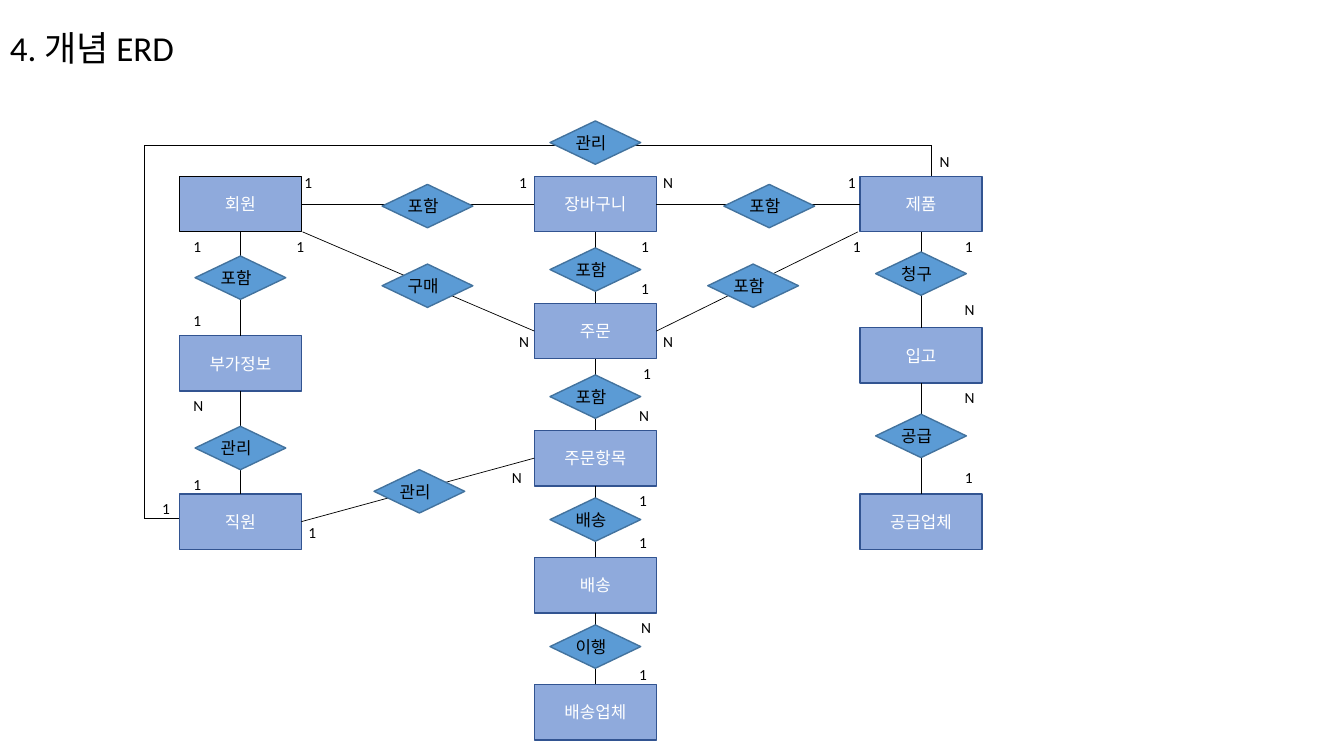
from pptx import Presentation
from pptx.dml.color import RGBColor as Rgb
from pptx.enum.shapes import MSO_CONNECTOR as Conn, MSO_SHAPE as Form
from pptx.enum.text import MSO_ANCHOR as Anchor, MSO_AUTO_SIZE as Fit, PP_ALIGN as Align
from pptx.oxml.ns import qn
from pptx.util import Inches, Pt
from lxml.etree import SubElement

INK = {
    "text": "000000", "white": "FFFFFF", "box": "8FAADC",
    "edge": "325491", "gem": "5B9BD5", "rim": "43739E",
}
LATIN, HANGUL = "Calibri", "Noto Sans CJK KR"

# Grid of 0.1 inch cells: places below are in columns and rows
CELL = 0.1
LEFT, MID, RIGHT = 17.8, 53, 85.3
TOP, STEP = 17.5, 12.6
BOX = (12.1, 5.5)
GEM = (9, 4.3)
INSET = (BOX[0] - GEM[0]) / 2
UP, WEST, DOWN, EAST = range(4)

# Entities: name -> column, row
ENTITIES = {
    "회원": (LEFT, TOP), "부가정보": (LEFT, 33.3), "직원": (LEFT, 49),
    "제품": (RIGHT, TOP), "입고": (RIGHT, 32.5), "공급업체": (RIGHT, 49),
}
for i, name in enumerate(["장바구니", "주문", "주문항목", "배송", "배송업체"]):
    ENTITIES[name] = (MID, TOP + i * STEP)

# Each link end is an entity side or a free point
SUPPLY = (91.35, 41.1)
LOOP = [(17.8, 51.4), (14.3, 51.4), (14.3, 14.4), (92.4, 14.4), (92.4, 17.5)]
LINKS = [
    (("회원", EAST), ("장바구니", WEST)),
    (("장바구니", EAST), ("제품", WEST)),
    (("회원", DOWN), ("부가정보", UP)),
    (("부가정보", DOWN), ("직원", UP)),
    (("장바구니", DOWN), ("주문", UP)),
    (("주문", DOWN), ("주문항목", UP)),
    (("주문항목", DOWN), ("배송", UP)),
    (("배송", DOWN), ("배송업체", UP)),
    (("제품", DOWN), ("입고", UP)),
    (("입고", DOWN), SUPPLY),
    (SUPPLY, ("공급업체", UP)),
    ((30, 23), ("주문", WEST)),
    (("주문", EAST), (85.1, 23)),
    (("직원", EAST), ("주문항목", WEST)),
    *zip(LOOP, LOOP[1:]),
]

# Relations: text, column, row
GEMS = [
    ("포함", LEFT + INSET, 25.4), ("관리", LEFT + INSET, 42.3),
    ("관리", MID + INSET, 12), ("포함", MID + INSET, 24.6),
    ("포함", MID + INSET, 37.2), ("배송", MID + INSET, 49.4),
    ("이행", MID + INSET, 62), ("청구", RIGHT + INSET, 25),
    ("공급", RIGHT + INSET, 41.1), ("포함", 37.9, 18.3),
    ("구매", 37.9, 26.2), ("관리", 37.1, 46.6),
    ("포함", 71.8, 18.3), ("포함", 70.2, 26.2),
]

# Cardinalities: mark -> column, row
MARKS = {
    "1": [(18.2, 23), (18.2, 30.4), (18.2, 46.6), (15.1, 49),
          (29.2, 16.7), (28.4, 23), (29.6, 51.4), (50.5, 16.7),
          (62.6, 23), (62.6, 27.2), (62.8, 35.6), (62.4, 48.2),
          (62.4, 52.4), (62.4, 65.5), (83.1, 16.7), (83.6, 23),
          (94.7, 23), (94.7, 45.9)],
    "N": [(18.2, 38.8), (50.5, 32.5), (49.8, 45.9), (64.8, 16.7),
          (64.8, 32.5), (62.4, 39.8), (62.6, 60.8), (92.2, 14.6),
          (94.7, 29.3), (94.7, 38)],
}
WIDE = {"1": 2.8, "N": 3}


def cells(*vals):
    return [Inches(v * CELL) for v in vals]


def write(shape, text, size, color="text", font=LATIN):
    frame = shape.text_frame
    frame.text = text
    para = frame.paragraphs[0]
    run = para.runs[0]
    run.font.size = Pt(size)
    run.font.name = font
    run.font.color.rgb = Rgb.from_string(INK[color])
    SubElement(run.font._element, qn("a:ea")).set("typeface", HANGUL)
    return para


def label(shapes, text, x, y, w, h, size):
    box = shapes.add_textbox(*cells(x, y, w, h))
    write(box, text, size)
    box.text_frame.word_wrap = False
    box.text_frame.auto_size = Fit.SHAPE_TO_FIT_TEXT


def block(shapes, form, x, y, dims, fill, edge):
    shape = shapes.add_shape(form, *cells(x, y, *dims))
    shape.shadow.inherit = False
    shape.fill.solid()
    shape.fill.fore_color.rgb = Rgb.from_string(INK[fill])
    shape.line.color.rgb = Rgb.from_string(INK[edge])
    shape.line.width = Pt(1)
    return shape


def entity(shapes, name, x, y):
    edge = "text" if name == "회원" else "edge"
    box = block(shapes, Form.RECTANGLE, x, y, BOX, "box", edge)
    write(box, name, 12, "white", HANGUL).alignment = Align.CENTER
    box.text_frame.vertical_anchor = Anchor.MIDDLE
    return box


def gem(shapes, text, x, y):
    group = shapes.add_group_shape().shapes
    block(group, Form.FLOWCHART_DECISION, x, y, GEM, "gem", "rim")
    label(group, text, x + 1.55, y + 0.65, 5.4, 3, 12)


def link(shapes, boxes, start, end):
    ends = [(0, 0) if p[0] in boxes else p for p in (start, end)]
    line = shapes.add_connector(Conn.STRAIGHT, *cells(*ends[0], *ends[1]))
    if start[0] in boxes:
        line.begin_connect(boxes[start[0]], start[1])
    if end[0] in boxes:
        line.end_connect(boxes[end[0]], end[1])
    line.line.color.rgb = Rgb.from_string(INK["text"])
    line.line.width = Pt(0.5)
    SubElement(line._element.spPr, qn("a:effectLst"))


def title(shapes, text):
    box = shapes.add_textbox(*cells(0, 0.2, 70, 9.6))
    write(box, text, 25).line_spacing = 0.9
    box.text_frame.word_wrap = True
    box.text_frame.vertical_anchor = Anchor.MIDDLE


def main():
    deck = Presentation()
    deck.slide_width, deck.slide_height = Inches(13.33), Inches(7.5)
    shapes = deck.slides.add_slide(deck.slide_layouts[6]).shapes

    title(shapes, "4. 개념 ERD")
    boxes = {name: entity(shapes, name, *at) for name, at in ENTITIES.items()}
    for start, end in LINKS:
        link(shapes, boxes, start, end)
    for item in GEMS:
        gem(shapes, *item)
    for mark, spots in MARKS.items():
        for x, y in spots:
            label(shapes, mark, x, y, WIDE[mark], 2.9, 11)

    deck.save("out.pptx")


if __name__ == "__main__":
    main()
